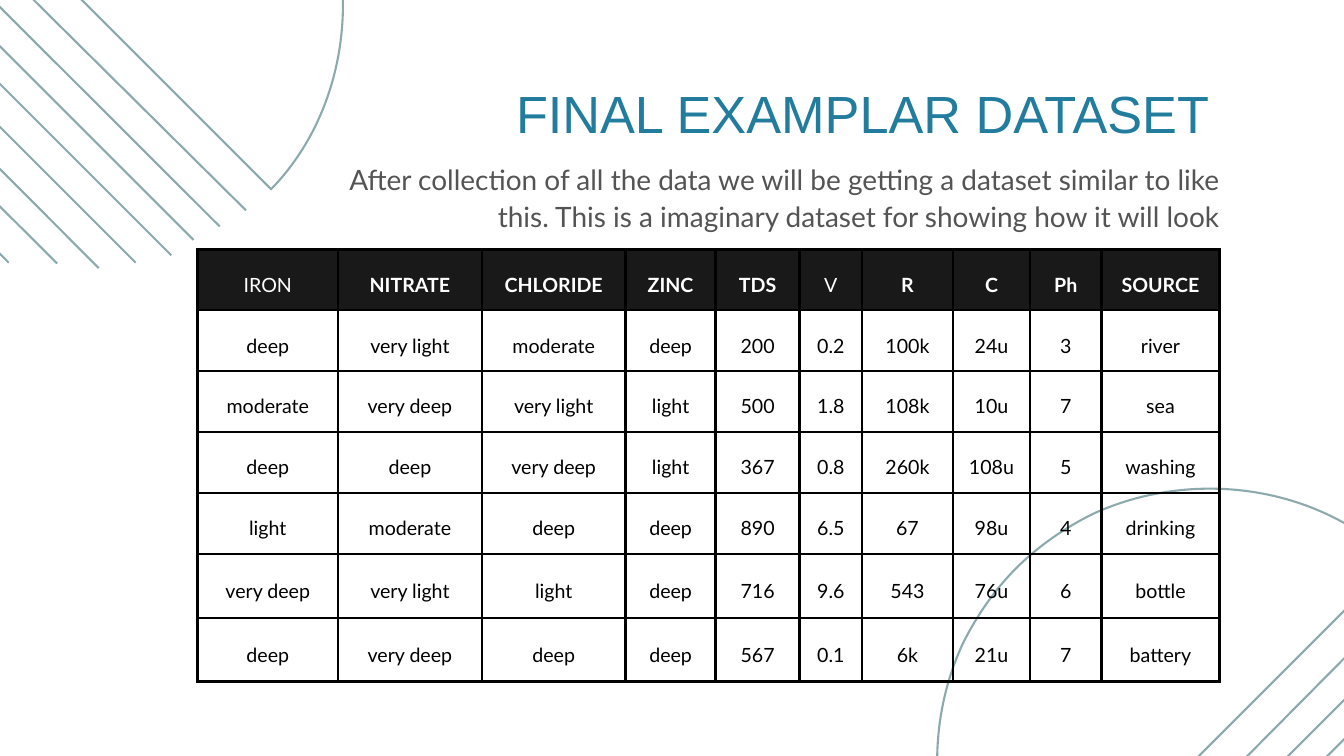
from dataclasses import dataclass

from lxml.etree import SubElement
from pptx import Presentation
from pptx.dml.color import RGBColor
from pptx.enum.shapes import MSO_CONNECTOR
from pptx.enum.text import MSO_ANCHOR, MSO_AUTO_SIZE, PP_ALIGN
from pptx.oxml import parse_xml
from pptx.oxml.ns import nsdecls, qn
from pptx.util import Inches, Pt


@dataclass(frozen=True)
class Theme:
    title: str = "227C9D"
    body: str = "545454"
    accent: str = "8CA9AD"
    head: str = "191919"
    light: str = "FFFFFF"
    dark: str = "000000"
    sans: str = "Arial"
    text: str = "Lato"
    big: int = 56
    mid: int = 30
    small: int = 21
    rule: float = 2.25
    grid: int = 3
    inset: int = 15


class Deck:
    def __init__(self, theme):
        self.theme = theme
        self.file = Presentation()
        self.file.slide_width = Inches(20)
        self.file.slide_height = Inches(11.25)
        self.slide = self.file.slides.add_slide(self.file.slide_layouts[1])
        self.shapes = self.slide.shapes

    def style(self, para, face, size, color, align, gap, bold=False):
        para.alignment = align
        para.line_spacing = gap
        para.space_before = Pt(0)
        font = para.font
        font.name = face
        font.size = Pt(size)
        font.bold = bold
        font.color.rgb = RGBColor.from_string(color)

    def place(self, holder, box, words, *look):
        holder.left, holder.top, holder.width, holder.height = map(Inches, box)
        self.shapes._spTree.append(holder._element)
        frame = holder.text_frame
        frame.text = words
        frame.word_wrap = True
        frame.auto_size = MSO_AUTO_SIZE.NONE
        frame.vertical_anchor = MSO_ANCHOR.TOP
        frame.margin_left = frame.margin_right = 0
        frame.margin_top = frame.margin_bottom = 0
        para = frame.paragraphs[0]
        self.style(para, *look)
        return para

    def title(self, box, words):
        theme = self.theme
        self.place(self.shapes.title, box, words, theme.sans, theme.big,
                   theme.title, PP_ALIGN.CENTER, 0.99)

    def body(self, box, words):
        theme = self.theme
        para = self.place(self.slide.placeholders[1], box, words, theme.text,
                          theme.mid, theme.body, PP_ALIGN.RIGHT, 1.11)
        props = para._p.get_or_add_pPr()
        props.set("marL", "0")
        props.set("indent", "0")
        props.insert_element_before(
            parse_xml(f"<a:buNone {nsdecls('a')}/>"),
            "a:tabLst", "a:defRPr", "a:extLst")

    def stroke(self, line):
        line.color.rgb = RGBColor.from_string(self.theme.accent)
        line.width = Pt(self.theme.rule)

    def dome(self, left, top, turn):
        half = [(0, 3.9), (0.02, 2.29), (1.16, 0.79), (2.7, 0.23),
                (3.12, 0.09), (3.59, 0)]
        curve = half + [(4.05, 0)] + [(8.11 - x, y) for x, y in half[::-1]]
        knots = [(Inches(left + x), Inches(top + y)) for x, y in curve[::3]]
        path = self.shapes.build_freeform(*knots[0])
        path.add_line_segments(knots[1:], close=True)
        shape = path.convert_to_shape()
        for step, edge in enumerate(list(shape._element.iter(qn("a:lnTo")))):
            edge.tag = qn("a:cubicBezTo")
            for spot, (x, y) in enumerate(curve[3 * step + 1:3 * step + 3]):
                edge.insert(spot, parse_xml(
                    f'<a:pt {nsdecls("a")} x="{Inches(x)}" y="{Inches(y)}"/>'))
        shape.rotation = turn
        shape.shadow.inherit = False
        shape.fill.background()
        self.stroke(shape.line)

    def line(self, *ends):
        link = self.shapes.add_connector(MSO_CONNECTOR.STRAIGHT,
                                         *map(Inches, ends))
        self.stroke(link.line)
        SubElement(link._element.spPr, qn("a:effectLst"))

    def border(self, cell):
        props = cell._tc.get_or_add_tcPr()
        for side in ("lnL", "lnR", "lnT", "lnB"):
            props.append(parse_xml(
                f'<a:{side} {nsdecls("a")} w="{Pt(self.theme.grid)}">'
                f'<a:solidFill><a:srgbClr val="{self.theme.dark}"/>'
                f'</a:solidFill></a:{side}>'))

    def cell(self, cell, words, head, bold):
        theme = self.theme
        self.border(cell)
        if head:
            cell.fill.solid()
            cell.fill.fore_color.rgb = RGBColor.from_string(theme.head)
        else:
            cell.fill.background()
        cell.text = words
        cell.vertical_anchor = MSO_ANCHOR.MIDDLE
        cell.margin_left = cell.margin_right = Pt(theme.inset)
        cell.margin_top = cell.margin_bottom = Pt(theme.inset)
        self.style(cell.text_frame.paragraphs[0], theme.text, theme.small,
                   theme.light if head else theme.dark,
                   PP_ALIGN.CENTER, 1.4, bold)

    def table(self, left, top, cols, rows, data, plain):
        box = map(Inches, (left, top, sum(cols), sum(rows)))
        table = self.shapes.add_table(len(rows), len(cols), *box).table
        table.first_row = table.horz_banding = False
        for col, wide in zip(table.columns, cols):
            col.width = Inches(wide)
        for row, high in zip(table.rows, rows):
            row.height = Inches(high)
        for y, line in enumerate(data):
            for x, words in enumerate(line):
                head = y == 0
                self.cell(table.cell(y, x), words, head,
                          head and words not in plain)


COLS = [2.09, 2.14, 2.14, 1.34, 1.25, 0.93, 1.35, 1.15, 1.06, 1.76]
ROWS = [0.9] * 5 + [0.95] * 2
DATA = [
    ["IRON", "NITRATE", "CHLORIDE", "ZINC", "TDS", "V", "R", "C", "Ph", "SOURCE"],
    ["deep", "very light", "moderate", "deep", "200", "0.2", "100k", "24u", "3", "river"],
    ["moderate", "very deep", "very light", "light", "500", "1.8", "108k", "10u", "7", "sea"],
    ["deep", "deep", "very deep", "light", "367", "0.8", "260k", "108u", "5", "washing"],
    ["light", "moderate", "deep", "deep", "890", "6.5", "67", "98u", "4", "drinking"],
    ["very deep", "very light", "light", "deep", "716", "9.6", "543", "76u", "6", "bottle"],
    ["deep", "very deep", "deep", "deep", "567", "0.1", "6k", "21u", "7", "battery"],
]
LEFT = [
    (-2.01, -2.49, 3.66, 3.13),
    (-2.25, -2.14, 3.27, 3.37),
    (-2.44, -1.75, 2.88, 3.57),
    (-2.58, -1.33, 2.55, 3.8),
    (-2.74, -0.85, 2.02, 3.91),
    (-2.87, -0.36, 1.47, 3.99),
    (-2.84, 0.25, 0.85, 3.92),
    (-2.74, 0.99, 0.13, 3.91),
]
RIGHT = [
    (15.45, 14.39, 21.07, 8.72),
    (15.8, 14.62, 21.31, 9.11),
    (16.19, 14.82, 21.51, 9.49),
]
FANS = [((-1.51, -3.38, 45), LEFT), ((12.45, 7.88, 315), RIGHT)]


def main():
    deck = Deck(Theme())
    for dome, lines in FANS:
        deck.dome(*dome)
        for ends in lines:
            deck.line(*ends)
    deck.table(2.94, 3.71, COLS, ROWS, DATA, {"IRON", "V"})
    deck.title((7.53, 1.24, 10.62, 0.81), "FINAL EXAMPLAR DATASET")
    deck.body((4.78, 2.36, 13.37, 0.93),
              "After collection of all the data we will be getting a dataset "
              "similar to like this. This is a imaginary dataset for showing "
              "how it will look")
    deck.file.save("out.pptx")


if __name__ == "__main__":
    main()
